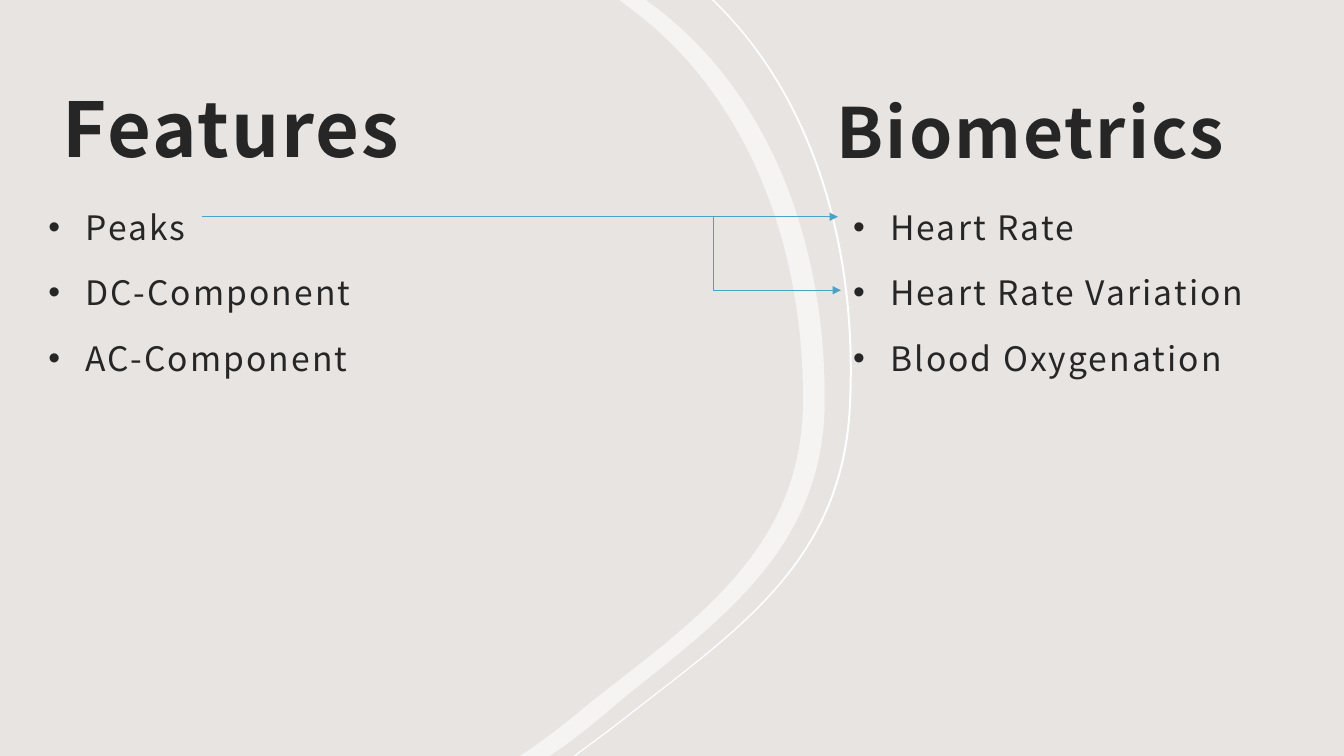
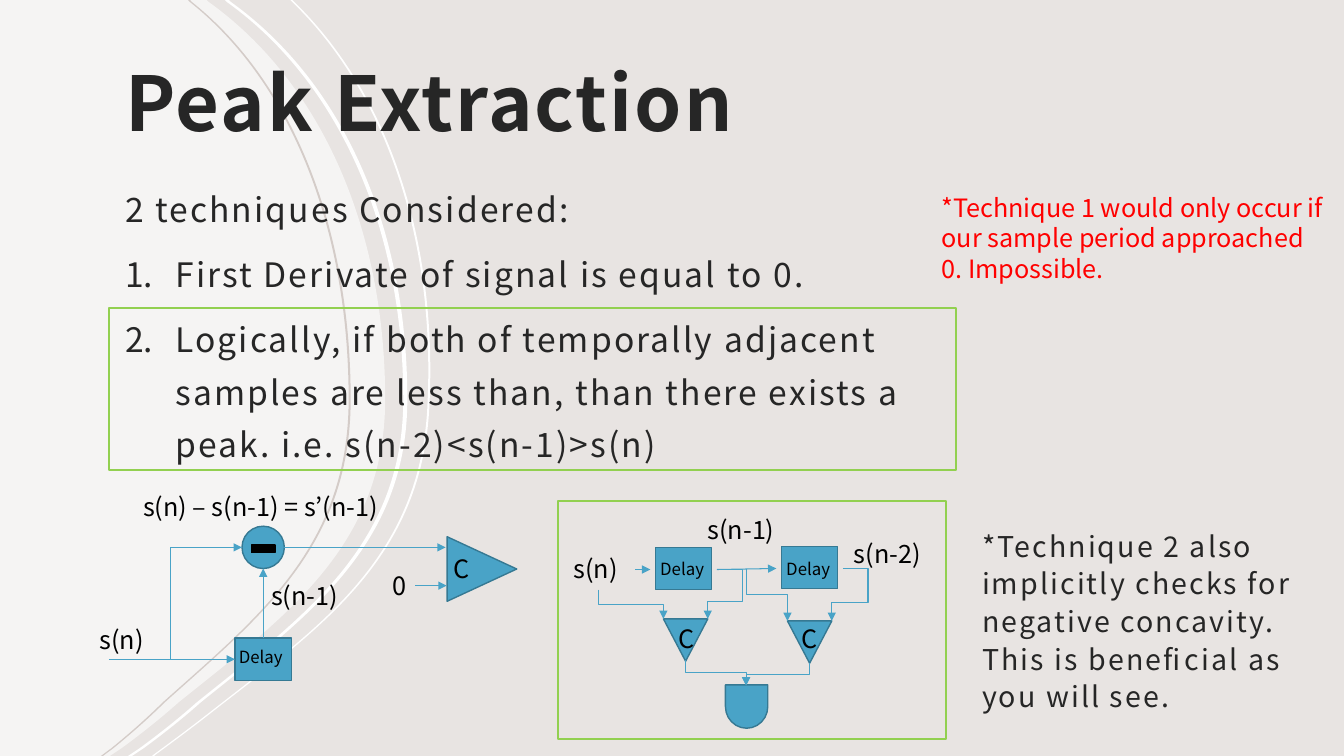
from pptx import Presentation
from pptx.dml.color import RGBColor
from pptx.enum.shapes import MSO_CONNECTOR as LINK, MSO_SHAPE as SHAPE
from pptx.enum.text import MSO_ANCHOR as ANCHOR, MSO_AUTO_SIZE as AUTO
from pptx.oxml.ns import qn
from pptx.util import Inches, Pt
from lxml.etree import SubElement

FONT = "Noto Sans CJK JP"
PAPER, WHITE, TAUPE = "E8E4E2", "FFFFFF", "D4CCC8"
INK, BLACK, RED = "262626", "000000", "FF0000"
BLUE, BLUE_EDGE, GREEN = "49A3C7", "367993", "92D050"
WIDTH, HEIGHT = 13.33, 7.5

# Edge curves, top to bottom: a start, a lead-in, three Bezier arcs and an end
SWEEP = [(2.05, 0), (2.07, 0.02), (3.2, 0.83), (3.82, 2.29), (3.82, 3.96),
         (3.82, 5.43), (2.81, 6.13), (1.77, 6.97),
         (1.59, 7.13), (1.4, 7.28), (1.21, 7.42), (1.09, 7.5)]
HAIRLINE = [(2.9, 0), (2.93, 0.03), (3.86, 0.94), (4.34, 2.4), (4.26, 4.02),
            (4.19, 5.55), (3.17, 6.23), (2.11, 7.06),
            (1.92, 7.21), (1.73, 7.35), (1.54, 7.49), (1.53, 7.5)]
ARC_STARTS = (2, 5, 8)


def color(value):
    return RGBColor.from_string(value)


def paint(shape, fill=None, edge=None, weight=1, opacity=None):
    shape.shadow.inherit = False
    if fill:
        shape.fill.solid()
        shape.fill.fore_color.rgb = color(fill)
        if opacity:
            tint = shape.fill._xPr.find(qn("a:solidFill"))[0]
            SubElement(tint, qn("a:alpha"), val=str(opacity * 1000))
    else:
        shape.fill.background()
    if edge:
        shape.line.color.rgb = color(edge)
        shape.line.width = Pt(weight)
    else:
        shape.line.fill.background()


# Background curves
def place_curve(curve, shift=0, stretch=1):
    return [(shift + stretch * x, y) for x, y in curve]


def curved_shape(page, points, arc_starts, fill, opacity=None):
    """Draw an outline in which three points from each arc start form a Bezier arc."""
    outline = [(Inches(x), Inches(y)) for x, y in points]
    builder = page.shapes.build_freeform(*outline[0])
    builder.add_line_segments(outline[1:], close=True)
    shape = builder.convert_to_shape()
    route = next(shape._element.iter(qn("a:path")))
    steps = list(route)
    for first in arc_starts:
        arc = steps[first]
        arc.tag = qn("a:cubicBezTo")
        for step in steps[first + 1:first + 3]:
            arc.append(step[0])
            route.remove(step)
    paint(shape, fill, opacity=opacity)
    return shape


def left_area(page, curve, fill, opacity=None):
    corners = [(0, HEIGHT), (0, 0)]
    return curved_shape(page, curve + corners, ARC_STARTS, fill, opacity)


def strand(page, curve, width, fill, shift=0, stretch=1):
    right = place_curve(curve, shift, stretch)
    left = place_curve(curve, shift - width, stretch)
    arc_starts = ARC_STARTS + tuple(len(right) + start for start in ARC_STARTS)
    return curved_shape(page, right + left[::-1], arc_starts, fill)


def dress_master(master, page):
    """Build the shared curves on a page and hand them to the master."""
    master.background.fill.solid()
    master.background.fill.fore_color.rgb = color(PAPER)
    curves = [left_area(page, SWEEP, WHITE, opacity=60),
              strand(page, HAIRLINE, 0.02, WHITE),
              strand(page, SWEEP, 0.04, WHITE, shift=0.22),
              strand(page, SWEEP, 0.02, TAUPE, shift=0.04, stretch=0.9)]
    for number, shape in enumerate(curves, 101):
        shape._element.nvSpPr.cNvPr.set("id", str(number))
        master.shapes._spTree.append(shape._element)


# Text
def set_bullet(para, bullet, indent):
    props = para._p.get_or_add_pPr()
    props.set("marL", str(Inches(indent)))
    props.set("indent", str(-Inches(indent)))
    if bullet == "1.":
        SubElement(props, qn("a:buAutoNum"), type="arabicPeriod")
    else:
        SubElement(props, qn("a:buFont"), typeface="Arial")
        SubElement(props, qn("a:buChar"), char=bullet)


def set_font(para, size, ink, bold=False, tracking=None):
    font = para.font
    font.name, font.size, font.bold = FONT, Pt(size), bold
    font.color.rgb = color(ink)
    if tracking:
        font._element.set("spc", str(int(tracking * 100)))


def text_box(page, left, top, width, height):
    box = page.shapes.add_textbox(*map(Inches, (left, top, width, height)))
    box.text_frame.word_wrap = True
    return box.text_frame


def themed_box(page, place):
    frame = text_box(page, *place)
    frame.margin_left = frame.margin_right = frame.margin_top = Inches(0.12)
    frame.margin_bottom = Inches(0.1)
    return frame


def title(page, place, text, size=54, spacing=1.2):
    frame = themed_box(page, place)
    frame.vertical_anchor = ANCHOR.BOTTOM
    para = frame.paragraphs[0]
    para.text, para.line_spacing = text, spacing
    set_font(para, size, INK, bold=True, tracking=1.5)


def body(page, place, lines, size=24, spacing=1.3, indent=0.37):
    """Write (bullet, text) lines; a bullet of None makes a plain line."""
    frame = themed_box(page, place)
    for number, (bullet, text) in enumerate(lines):
        para = frame.add_paragraph() if number else frame.paragraphs[0]
        para.text, para.line_spacing, para.space_before = text, spacing, Pt(9.3)
        if bullet:
            set_bullet(para, bullet, indent)
        set_font(para, size, INK, tracking=1.5)


def label(page, left, top, text, width=0.72, height=0.4, size=18, ink=BLACK):
    frame = text_box(page, left, top, width, height)
    frame.auto_size = AUTO.SHAPE_TO_FIT_TEXT
    frame.paragraphs[0].text = text
    set_font(frame.paragraphs[0], size, ink)


# Diagram parts
def block(page, kind, place, fill=BLUE, edge=BLUE_EDGE, weight=1, turn=0):
    shape = page.shapes.add_shape(kind, *map(Inches, place))
    paint(shape, fill, edge, weight)
    shape.rotation = turn
    return shape


def delay_box(page, left, top, label_left, label_top):
    shape = block(page, SHAPE.RECTANGLE, (left, top, 0.56, 0.42))
    label(page, label_left, label_top, "Delay", width=0.66, height=0.3, size=12)
    return shape


def highlight(page, place):
    block(page, SHAPE.RECTANGLE, place, fill=None, edge=GREEN, weight=1.5)


def style_arrow(link):
    link.line.color.rgb = color(BLUE)
    link.line.width = Pt(0.75)
    SubElement(link.line._get_or_add_ln(), qn("a:tailEnd"), type="triangle")
    SubElement(link._element.spPr, qn("a:effectLst"))


def arrow(page, start, end):
    link = page.shapes.add_connector(LINK.STRAIGHT, *map(Inches, start + end))
    style_arrow(link)
    return link


def elbow(page, start, end, upright=False, bends=3, corner=None):
    """Bent arrow; upright ones leave vertically, corner fixes the bends at (x, y)."""
    (x0, y0), (x1, y1) = start, end
    run, rise, angle = x1 - x0, y1 - y0, 0
    if upright:
        sign, angle = (1, 90) if run < 0 else (-1, 270)
        run, rise = sign * rise, -sign * run
    mid_x, mid_y = (x0 + x1) / 2, (y0 + y1) / 2
    ends = (mid_x - run / 2, mid_y - rise / 2, mid_x + run / 2, mid_y + rise / 2)
    link = page.shapes.add_connector(LINK.ELBOW, *map(Inches, ends))
    props = link._element.spPr
    if angle:
        props.find(qn("a:xfrm")).set("rot", str(angle * 60000))
    geometry = props.find(qn("a:prstGeom"))
    geometry.set("prst", f"bentConnector{bends}")
    if corner:
        shares = ((corner[0] - x0) / run, (corner[1] - y0) / rise)
        for number, share in enumerate(shares, 1):
            SubElement(geometry.find(qn("a:avLst")), qn("a:gd"), name=f"adj{number}",
                       fmla=f"val {round(share * 100000)}")
    style_arrow(link)


# Slides
def features_page(page):
    block(page, SHAPE.RECTANGLE, (0, 0, WIDTH, HEIGHT), PAPER, edge=None)
    left_area(page, place_curve(SWEEP, 4.36), WHITE, opacity=60)
    left_area(page, place_curve(SWEEP, 4.03, 1.03), PAPER)
    strand(page, HAIRLINE, 0.02, WHITE, shift=4.18)

    title(page, (0.5, 0.61, 4.55, 1.2), "Features")
    title(page, (8.18, 0.61, 4.55, 1.2), "Biometrics", size=49.5, spacing=1.1)
    columns = {0.36: ("Peaks", "DC-Component", "AC-Component"),
               8.34: ("Heart Rate", "Heart Rate Variation", "Blood Oxygenation")}
    for left, items in columns.items():
        body(page, (left, 1.81, 4.55, 2.15), [("•", item) for item in items])

    arrow(page, (2, 2.15), (8.31, 2.15))
    elbow(page, (5.82, 2.15), (8.34, 2.88))


def derivative_diagram(page):
    delay = delay_box(page, 2.33, 6.33, 2.27, 6.37)
    block(page, SHAPE.OVAL, (2.4, 5.22, 0.42, 0.42))
    block(page, SHAPE.MATH_MINUS, (2.45, 5.29, 0.32, 0.31), BLACK, BLACK)
    block(page, SHAPE.ISOSCELES_TRIANGLE, (4.46, 5.3, 0.64, 0.69), turn=90)

    arrow(page, (1.08, 6.54), (2.33, 6.54)).end_connect(delay, 1)
    arrow(page, (2.61, 6.33), (2.61, 5.64)).begin_connect(delay, 0)
    arrow(page, (2.82, 5.43), (4.42, 5.43))
    arrow(page, (4.12, 5.81), (4.43, 5.81))
    elbow(page, (1.69, 6.54), (2.4, 5.43), upright=True, bends=2)

    label(page, 0.89, 6.14, "s(n)")
    label(page, 2.59, 5.71, "s(n-1)", width=1.04)
    label(page, 1.32, 4.83, "s(n) – s(n-1) = s’(n-1)", width=2.99)
    label(page, 3.79, 5.61, "0", width=0.33)
    label(page, 4.4, 5.44, "C")


def neighbour_diagram(page):
    delay_box(page, 6.5, 5.43, 6.45, 5.49)
    delay_box(page, 7.75, 5.42, 7.7, 5.49)
    for left, top in ((6.58, 6.14), (7.81, 6.16)):
        block(page, SHAPE.ISOSCELES_TRIANGLE, (left, top, 0.44, 0.42), turn=180)
    block(page, SHAPE.FLOWCHART_DELAY, (7.19, 6.8, 0.43, 0.42), turn=90)

    arrow(page, (6.3, 5.65), (6.45, 5.65))
    arrow(page, (7.11, 5.65), (7.7, 5.64))
    elbow(page, (8.36, 5.64), (8.25, 6.16), bends=4, corner=(8.61, 5.98))
    elbow(page, (7.11, 5.65), (7.02, 6.14), bends=4, corner=(7.36, 5.97))
    for start, end in (((5.94, 5.85), (6.58, 6.14)), ((7.4, 5.64), (7.81, 6.16)),
                       ((6.8, 6.55), (7.4, 6.8)), ((8.03, 6.58), (7.4, 6.8))):
        elbow(page, start, end, upright=True)

    label(page, 5.59, 5.44, "s(n)")
    label(page, 6.92, 5.05, "s(n-1)", width=1.01)
    label(page, 8.37, 5.29, "s(n-2)", width=1.01)
    for left in (6.63, 7.85):
        label(page, left, 6.13, "C")


def extraction_page(page):
    title(page, (1.12, 0.19, 6.91, 1.36), "Peak Extraction")
    body(page, (1.12, 1.63, 8.4, 3.51), [
        (None, "2 techniques Considered:"),
        ("1.", "First Derivate of signal is equal to 0."),
        ("1.", "Logically, if both of temporally adjacent samples are less than, "
               "than there exists a peak. i.e. s(n-2)<s(n-1)>s(n)")], indent=0.5)
    derivative_diagram(page)
    neighbour_diagram(page)

    # Remarks and the chosen technique
    label(page, 9.24, 1.86, "*Technique 1 would only occur if our sample period "
          "approached 0. Impossible.", width=4, height=1.01, ink=RED)
    highlight(page, (1.08, 3.06, 8.4, 1.6))
    highlight(page, (5.53, 4.97, 3.85, 2.36))
    body(page, (9.62, 5.09, 3.66, 2.19), [
        (None, "*Technique 2 also implicitly checks for negative concavity. "
               "This is beneficial as you will see.")], size=20.4, spacing=1.1)


def main():
    deck = Presentation()
    deck.slide_width, deck.slide_height = Inches(WIDTH), Inches(HEIGHT)
    blank = deck.slide_layouts[6]
    features, extraction = (deck.slides.add_slide(blank) for _ in range(2))
    dress_master(deck.slide_master, features)
    features_page(features)
    extraction_page(extraction)
    deck.save("out.pptx")


if __name__ == "__main__":
    main()
